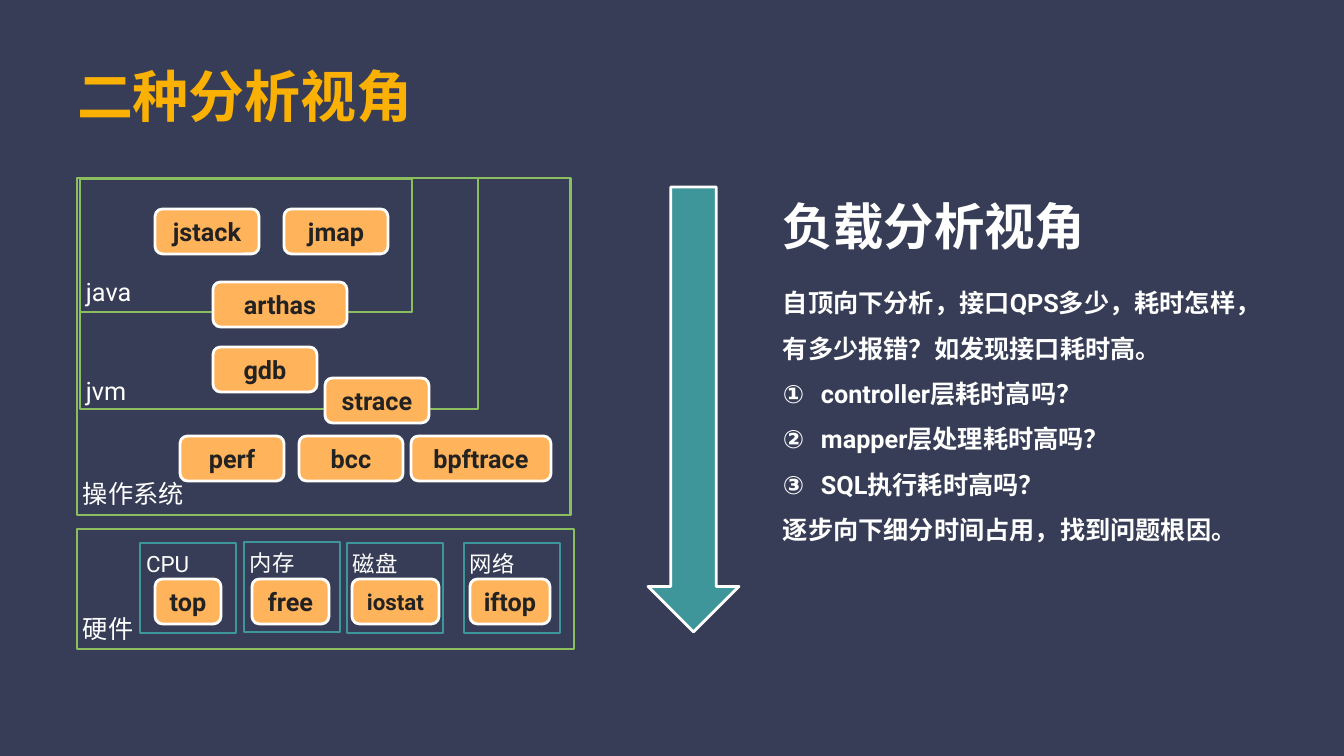
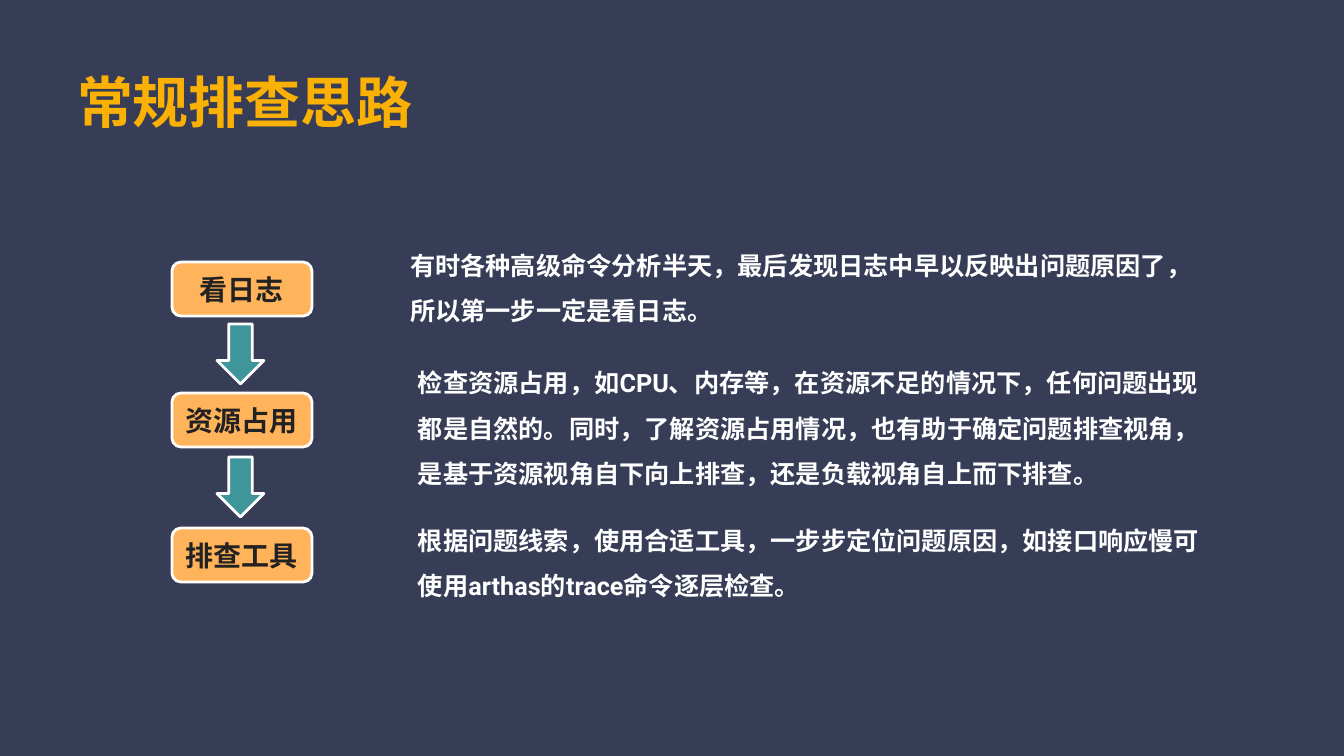
from dataclasses import dataclass

from lxml import etree
from pptx import Presentation
from pptx import util as u
from pptx.dml.color import RGBColor
from pptx.enum import lang, shapes, text
from pptx.oxml.ns import qn

PX_PER_INCH = 100.8
FONT = "Roboto"
COLORS = {
    "background": "373D56",
    "title": "FBB103",
    "panel": "8ABE5E",
    "teal": "3F969A",
    "chip": "FFB35A",
    "dark": "222222",
    "white": "FFFFFF",
}
KINDS = shapes.MSO_SHAPE


@dataclass(frozen=True)
class Box:
    """A rectangle in px."""

    left: int
    top: int
    width: int
    height: int


@dataclass(frozen=True)
class Style:
    """Look of the text in a shape."""

    size: int = 18
    color: str = "white"
    bold: bool = False
    centred: bool = False
    line_spacing: float = 1.0
    inset: int = 6


@dataclass(frozen=True)
class Panel:
    """An outlined area with a label inside."""

    name: str
    box: Box
    label: Box
    line: str = "panel"
    size: int = 18


@dataclass(frozen=True)
class Chip:
    """A tool shown as a rounded rectangle."""

    name: str
    left: int
    top: int
    width: int = 104
    size: int = 18


@dataclass(frozen=True)
class Step:
    """A troubleshooting step and its explanation."""

    name: str
    top: int
    note: str
    note_box: Box


TITLE = Style(40, "title", bold=True, inset=8)
HEADING = Style(36, bold=True, inset=8)
BODY = Style(bold=True, line_spacing=1.5, inset=8)
CHIP_HEIGHT = 45

HARDWARE = [("CPU", 140, 543), ("内存", 244, 542), ("磁盘", 347, 543), ("网络", 464, 543)]
PANELS = [
    Panel("操作系统", Box(77, 178, 494, 337), Box(77, 473, 113, 41)),
    Panel("硬件", Box(77, 529, 497, 120), Box(77, 608, 83, 41)),
    Panel("jvm", Box(80, 178, 398, 231), Box(80, 370, 84, 41)),
    Panel("java", Box(80, 179, 332, 133), Box(80, 271, 84, 41)),
] + [
    Panel(name, Box(left, top, 96, 90), Box(left, top + 2, 83, 38), "teal", 16)
    for name, left, top in HARDWARE
]
CHIPS = [
    Chip("jstack", 155, 209),
    Chip("jmap", 284, 209),
    Chip("arthas", 213, 282, 134),
    Chip("gdb", 213, 347),
    Chip("strace", 325, 378),
    Chip("perf", 180, 436),
    Chip("bcc", 299, 436),
    Chip("bpftrace", 411, 436, 140),
    Chip("top", 155, 579, 66),
    Chip("free", 252, 579, 77),
    Chip("iostat", 352, 579, 87, 16),
    Chip("iftop", 470, 579, 80),
]
LOAD_VIEW = [
    "自顶向下分析，接口QPS多少，耗时怎样，有多少报错？如发现接口耗时高。",
    "controller层耗时高吗？",
    "mapper层处理耗时高吗？",
    "SQL执行耗时高吗？",
    "逐步向下细分时间占用，找到问题根因。",
]
STEPS = [
    Step(
        "看日志",
        262,
        "有时各种高级命令分析半天，最后发现日志中早以反映出问题原因了，所以第一步一定是看日志。",
        Box(402, 227, 817, 107),
    ),
    Step(
        "资源占用",
        393,
        "检查资源占用，如CPU、内存等，在资源不足的情况下，任何问题出现都是自然的。"
        "同时，了解资源占用情况，也有助于确定问题排查视角，"
        "是基于资源视角自下向上排查，还是负载视角自上而下排查。",
        Box(410, 345, 817, 151),
    ),
    Step(
        "排查工具",
        528,
        "根据问题线索，使用合适工具，一步步定位问题原因，如接口响应慢可使用arthas的trace命令逐层检查。",
        Box(410, 502, 817, 107),
    ),
]


def px(length: int) -> int:
    """Turn px into EMU."""
    return u.Emu(round(length * u.Inches(1) / PX_PER_INCH))


def place(box: Box) -> tuple[int, int, int, int]:
    """Give a box as EMU arguments."""
    return px(box.left), px(box.top), px(box.width), px(box.height)


def rgb(name: str) -> RGBColor:
    """Look up a colour."""
    return RGBColor.from_string(COLORS[name])


def write(shape, paragraphs: list[str], style: Style) -> None:
    """Fill a shape with styled paragraphs."""
    frame = shape.text_frame
    frame.text = "\n".join(paragraphs)
    frame.word_wrap = True
    frame.auto_size = text.MSO_AUTO_SIZE.NONE
    frame.vertical_anchor = text.MSO_ANCHOR.MIDDLE
    frame.margin_left = frame.margin_right = px(style.inset)
    frame.margin_top = frame.margin_bottom = px(style.inset)
    for paragraph in frame.paragraphs:
        paragraph.alignment = text.PP_ALIGN.CENTER if style.centred else text.PP_ALIGN.LEFT
        paragraph.line_spacing = style.line_spacing
        for run in paragraph.runs:
            font = run.font
            font.name, font.size, font.bold = FONT, u.Pt(style.size), style.bold
            font.color.rgb = rgb(style.color)
            font.language_id = lang.MSO_LANGUAGE_ID.SIMPLIFIED_CHINESE
            latin = run._r.rPr.find(qn("a:latin"))
            east_asian = etree.Element(qn("a:ea"), typeface=FONT)
            latin.addnext(east_asian)


def add_text(slide, paragraphs: list[str], box: Box, style: Style):
    """Add a text box."""
    shape = slide.shapes.add_textbox(*place(box))
    write(shape, paragraphs, style)
    return shape


def add_figure(slide, kind, box: Box, line: str, fill: str | None = None):
    """Add a preset shape with a 2 pt outline."""
    shape = slide.shapes.add_shape(kind, *place(box))
    shape.shadow.inherit = False
    if fill:
        shape.fill.solid()
        shape.fill.fore_color.rgb = rgb(fill)
    else:
        shape.fill.background()
    shape.line.color.rgb = rgb(line)
    shape.line.width = u.Pt(2)
    return shape


def add_panel(slide, panel: Panel) -> None:
    """Add an outlined area and its label."""
    add_figure(slide, KINDS.RECTANGLE, panel.box, panel.line)
    add_text(slide, [panel.name], panel.label, Style(panel.size))


def add_chip(slide, name: str, box: Box, size: int) -> None:
    """Add an orange rounded rectangle."""
    shape = add_figure(slide, KINDS.ROUNDED_RECTANGLE, box, "white", "chip")
    write(shape, [name], Style(size, "dark", bold=True, centred=True))


def add_arrow(slide, box: Box) -> None:
    """Add a teal block arrow pointing down."""
    add_figure(slide, KINDS.DOWN_ARROW, box, "white", "teal")


def number(paragraph) -> None:
    """Number a paragraph with circled digits."""
    properties = paragraph._p.get_or_add_pPr()
    properties.set("marL", str(px(38)))
    properties.set("indent", str(-px(38)))
    etree.SubElement(properties, qn("a:buAutoNum"), type="circleNumDbPlain")


def add_slide(presentation, title: str, title_height: int):
    """Add a slide with a styled title."""
    slide = presentation.slides.add_slide(presentation.slide_layouts[5])
    shape = slide.shapes.title
    box = Box(69, 52, 1173, title_height)
    shape.left, shape.top, shape.width, shape.height = place(box)
    write(shape, [title], TITLE)
    return slide


def build_views(presentation) -> None:
    """Build the slide on views of analysis."""
    slide = add_slide(presentation, "二种分析视角", 86)
    for panel in PANELS:
        add_panel(slide, panel)
    for chip in CHIPS:
        add_chip(slide, chip.name, Box(chip.left, chip.top, chip.width, CHIP_HEIGHT), chip.size)
    add_arrow(slide, Box(648, 187, 91, 445))
    body = add_text(slide, LOAD_VIEW, Box(775, 258, 477, 301), BODY)
    for paragraph in body.text_frame.paragraphs[1:-1]:
        number(paragraph)
    add_text(slide, ["负载分析视角"], Box(775, 186, 339, 79), HEADING)


def build_steps(presentation) -> None:
    """Build the slide on troubleshooting steps."""
    slide = add_slide(presentation, "常规排查思路", 98)
    step_height, arrow_height = 54, 60
    for step in STEPS:
        add_chip(slide, step.name, Box(172, step.top, 140, step_height), 20)
        add_text(slide, [step.note], step.note_box, BODY)
    for upper, lower in zip(STEPS, STEPS[1:]):
        top = (upper.top + step_height + lower.top - arrow_height) // 2
        add_arrow(slide, Box(217, top, 47, arrow_height))


def main() -> None:
    """Build and save the presentation."""
    presentation = Presentation()
    presentation.slide_width, presentation.slide_height = px(1344), px(756)
    background = presentation.slide_master.background.fill
    background.solid()
    background.fore_color.rgb = rgb("background")
    build_views(presentation)
    build_steps(presentation)
    presentation.save("out.pptx")


if __name__ == "__main__":
    main()
